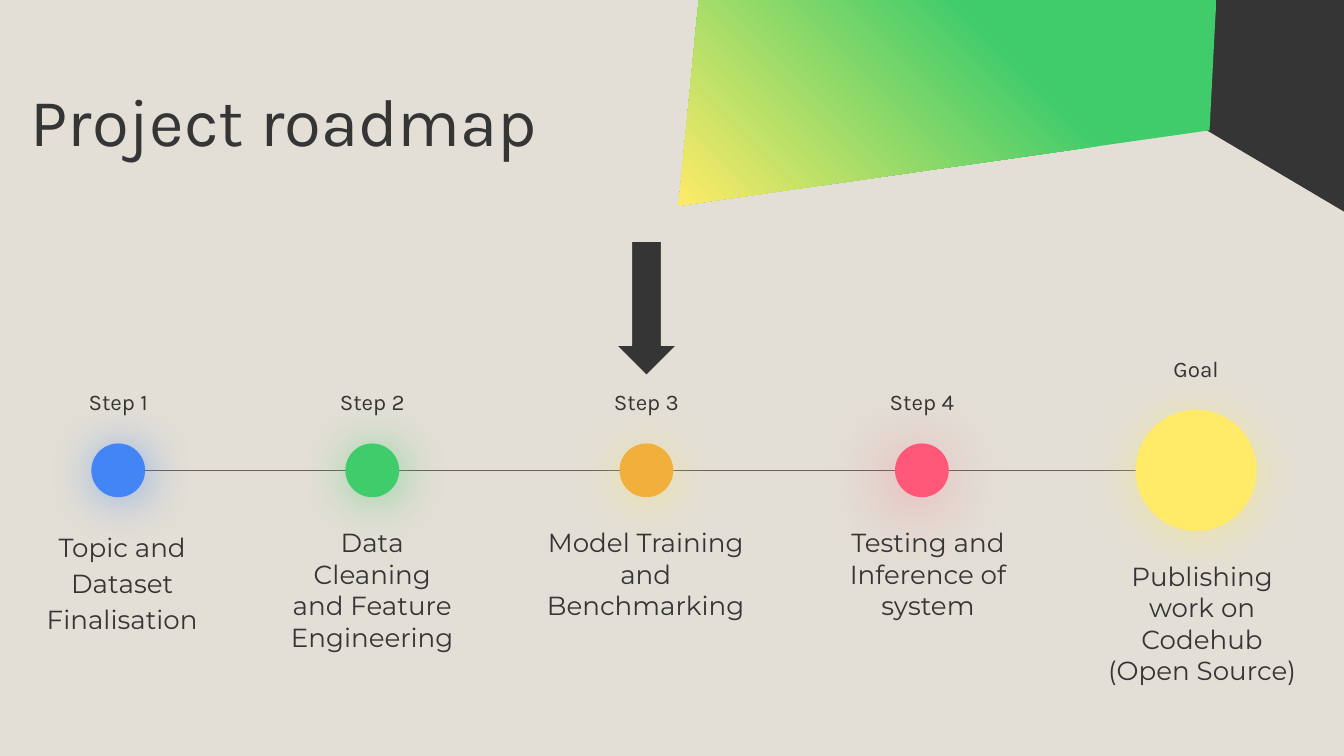
from lxml.etree import SubElement
from pptx import Presentation
from pptx.dml.color import RGBColor
from pptx.enum.shapes import MSO_CONNECTOR, MSO_SHAPE
from pptx.enum.text import MSO_ANCHOR, PP_ALIGN
from pptx.oxml.ns import qn
from pptx.util import Inches, Pt

CREAM = RGBColor(0xE3, 0xDF, 0xD6)
DARK = RGBColor(0x35, 0x35, 0x35)
BROWN = RGBColor(0x69, 0x61, 0x5E)
BLUE = RGBColor(0x42, 0x85, 0xF4)
GREEN = RGBColor(0x41, 0xCC, 0x6B)
ORANGE = RGBColor(0xF0, 0xB0, 0x3B)
PINK = RGBColor(0xFF, 0x57, 0x77)
YELLOW = RGBColor(0xFF, 0xEB, 0x67)


def add_text(left, top, width, height, lines, font, size, align, anchor, spacing):
    box = page.shapes.add_textbox(Inches(left), Inches(top), Inches(width), Inches(height))
    frame = box.text_frame
    frame.word_wrap = True
    frame.vertical_anchor = anchor
    frame.margin_left = frame.margin_right = Inches(0.1)
    frame.margin_top = frame.margin_bottom = Inches(0.1)
    for index, line in enumerate(lines):
        para = frame.add_paragraph() if index else frame.paragraphs[0]
        para.alignment = align
        para.line_spacing = spacing
        span = para.add_run()
        span.text = line
        span.font.name = font
        span.font.size = Pt(size)
        span.font.color.rgb = DARK


def add_glow(shape, color, opacity, blur, distance, angle):
    effects = shape._element.spPr.find(qn("a:effectLst"))
    shadow = SubElement(effects, qn("a:outerShdw"), blurRad=str(Pt(blur)), dist=str(Pt(distance)),
                        dir=str(angle * 60000), algn="bl", rotWithShape="0")
    tint = SubElement(shadow, qn("a:srgbClr"), val=str(color))
    SubElement(tint, qn("a:alpha"), val=str(opacity * 1000))


deck = Presentation()
deck.slide_width = Inches(10)
deck.slide_height = Inches(10 * 9 / 16)
page = deck.slides.add_slide(deck.slide_layouts[6])
page.background.fill.solid()
page.background.fill.fore_color.rgb = CREAM

panels = []
for corners in (
    [(8.98, 0.97), (10.01, 1.58), (10.01, -0.01), (9.05, -0.01)],
    [(5.2, -0.01), (5.05, 1.53), (9, 0.97), (9.05, 0)],
):
    points = [(Inches(x), Inches(y)) for x, y in corners]
    builder = page.shapes.build_freeform(*points[0])
    builder.add_line_segments(points[1:], close=True)
    panel = builder.convert_to_shape()
    panel.shadow.inherit = False
    panel.line.fill.background()
    panels.append(panel)

dark_panel, bright_panel = panels
dark_panel.fill.solid()
dark_panel.fill.fore_color.rgb = DARK
bright_panel.fill.gradient()
bright_panel.fill.gradient_angle = 225
for stop, position, color in zip(bright_panel.fill.gradient_stops, (0.35, 1), (GREEN, YELLOW)):
    stop.position = position
    stop.color.rgb = color

AXIS = 3.5
timeline = page.shapes.add_connector(
    MSO_CONNECTOR.STRAIGHT, Inches(0.75), Inches(AXIS), Inches(9.15), Inches(AXIS))
timeline.line.color.rgb = BROWN
timeline.line.width = Pt(0.75)
SubElement(timeline._element.spPr, qn("a:effectLst"))

add_text(0.13, 0.55, 6.37, 0.75, ["Project roadmap"], "Karla", 36,
         PP_ALIGN.LEFT, MSO_ANCHOR.MIDDLE, 0.9)

steps = [
    ("Step 1", 0.88, 0.4, BLUE, (BLUE, 56, 25.9, 2.2, 45),
     ["Topic and Dataset Finalisation"], 0.16, 1.5, 1.15),
    ("Step 2", 2.77, 0.4, GREEN, (GREEN, 56, 25.9, 2.2, 45),
     ["Data Cleaning and Feature Engineering"], 2.03, 1.48, 1),
    ("Step 3", 4.81, 0.4, ORANGE, (YELLOW, 50, 27, 3, 90),
     ["Model Training and Benchmarking"], 3.94, 1.73, 1),
    ("Step 4", 6.86, 0.4, PINK, (PINK, 50, 38.2, 6, 130),
     ["Testing and Inference of system"], 6.09, 1.63, 1),
    ("Goal", 8.9, 0.9, YELLOW, (YELLOW, 50, 27, 3, 90),
     ["Publishing work on Codehub", "(Open Source)"], 8.13, 1.63, 1),
]
for label, center, size, color, glow, lines, left, width, spacing in steps:
    dot = page.shapes.add_shape(MSO_SHAPE.OVAL, Inches(center - size / 2),
                                Inches(AXIS - size / 2), Inches(size), Inches(size))
    dot.shadow.inherit = False
    dot.fill.solid()
    dot.fill.fore_color.rgb = color
    dot.line.fill.background()
    add_glow(dot, *glow)
    add_text(center - 0.45, AXIS - size / 2 - 0.51, 0.9, 0.4, [label], "Karla", 12,
             PP_ALIGN.CENTER, MSO_ANCHOR.MIDDLE, 1)
    add_text(left, AXIS + size / 2 + 0.12, width, 1.16, lines, "Montserrat", 14,
             PP_ALIGN.CENTER, MSO_ANCHOR.TOP, spacing)

arrow = page.shapes.add_shape(
    MSO_SHAPE.RIGHT_ARROW, Inches(4.31), Inches(2.07), Inches(1), Inches(0.45))
arrow.rotation = 90
arrow.shadow.inherit = False
arrow.fill.solid()
arrow.fill.fore_color.rgb = DARK
arrow.line.color.rgb = CREAM
arrow.line.width = Pt(0.75)

deck.save("out.pptx")
